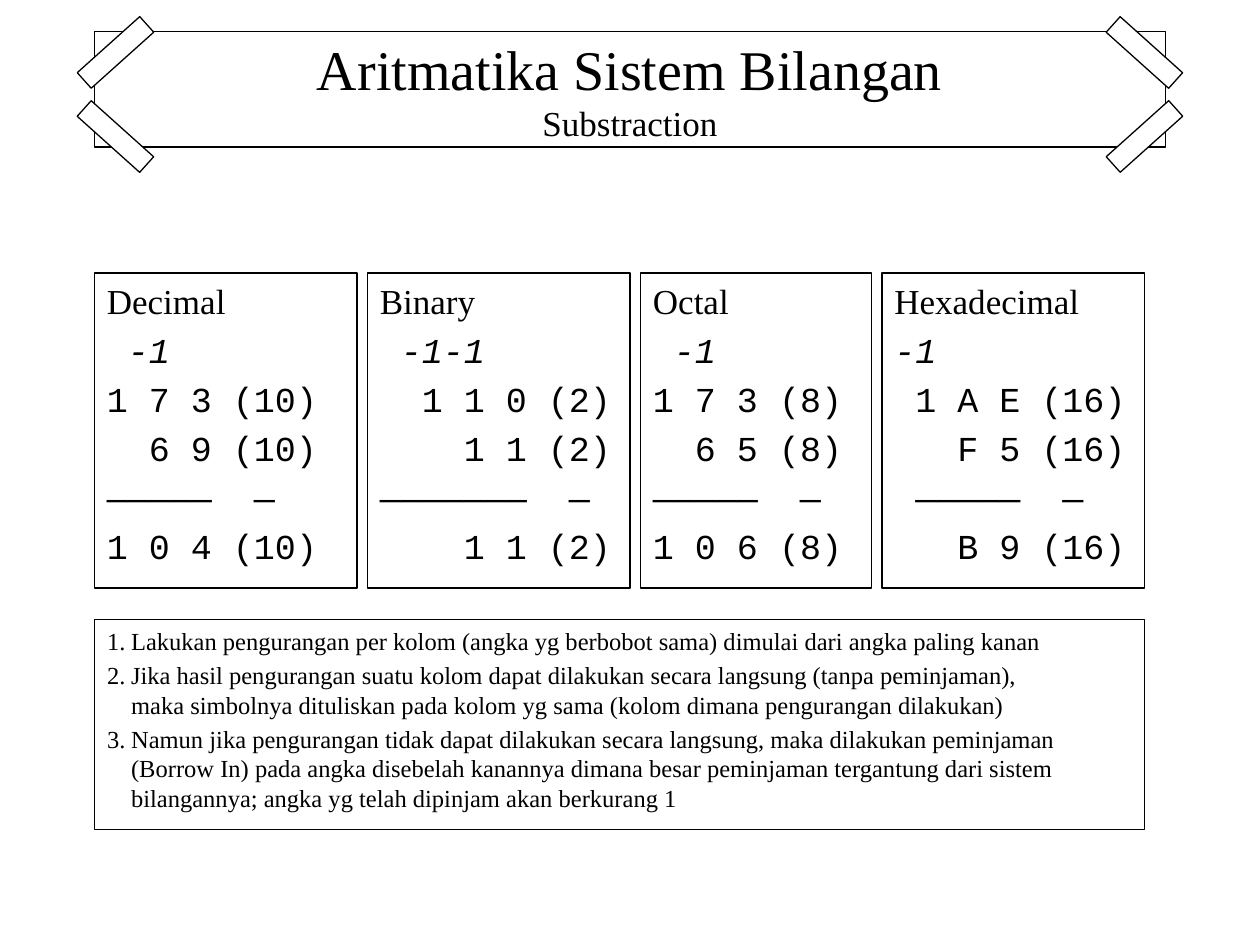
from dataclasses import dataclass

from lxml import etree
from pptx import Presentation, util as u
from pptx.dml.color import RGBColor
from pptx.enum import shapes, text
from pptx.oxml.ns import qn

COLORS = {"ink": "000000", "paper": "FFFFFF"}
SERIF, MONO = "Times New Roman", "Courier New"
UNIT = u.Inches(10) // 120  # the slide is a grid of 120 columns by 90 rows
CHAR = 2 * UNIT  # width of one 20 pt monospaced character


@dataclass
class Box:
    col: float
    row: float
    wide: float
    high: float

    def place(self) -> list[int]:
        return [round(n * UNIT) for n in (self.col, self.row, self.wide, self.high)]


@dataclass
class Line:
    text: str
    stops: tuple[int, ...] = ()  # tab stops, counted in characters


@dataclass
class Panel:
    name: str
    wide: int
    lines: list[Line]  # borrow, minuend, subtrahend, rule, result


PANELS = [
    Panel("Decimal", 25, [
        Line("\t-1", (1,)), Line("1 7 3 (10)"), Line("\t6 9 (10)", (2,)),
        Line("—————\t—", (7,)), Line("1 0 4 (10)")]),
    Panel("Binary", 25, [
        Line("\t-1-1", (1,)), Line("\t1 1 0 (2)", (2,)), Line("\t1 1 (2)", (4,)),
        Line("———————\t—", (9,)), Line("\t1 1 (2)", (4,))]),
    Panel("Octal", 22, [
        Line("\t-1", (1,)), Line("1 7 3 (8)"), Line("\t6 5 (8)", (2,)),
        Line("—————\t—", (7,)), Line("1 0 6 (8)")]),
    Panel("Hexadecimal", 25, [
        Line("-1"), Line("\t1 A E (16)", (1,)), Line("\tF 5 (16)", (3,)),
        Line("\t—————\t—", (1, 8)), Line("\tB 9 (16)", (3,))]),
]
RULES = [
    "Lakukan pengurangan per kolom (angka yg berbobot sama) dimulai dari angka "
    "paling kanan",
    "Jika hasil pengurangan suatu kolom dapat dilakukan secara langsung (tanpa "
    "peminjaman),\vmaka simbolnya dituliskan pada kolom yg sama (kolom dimana "
    "pengurangan dilakukan)",
    "Namun jika pengurangan tidak dapat dilakukan secara langsung, maka dilakukan "
    "peminjaman (Borrow In) pada angka disebelah kanannya dimana besar peminjaman "
    "tergantung dari sistem bilangannya; angka yg telah dipinjam akan berkurang 1",
]


def color(name: str) -> RGBColor:
    return RGBColor.from_string(COLORS[name])


def outline(shape) -> None:
    shape.line.color.rgb = color("ink")
    shape.line.width = u.Pt(0.75)


def frame(shape, box: Box, anchor=text.MSO_ANCHOR.TOP):
    """Place an outlined holder and return its text frame."""
    shape.left, shape.top, shape.width, shape.height = box.place()
    shape.fill.background()
    outline(shape)
    body = shape.text_frame
    body.word_wrap = True
    body.auto_size = text.MSO_AUTO_SIZE.NONE
    body.vertical_anchor = anchor
    return body


def rect(slide, box: Box):
    shape = slide.shapes.add_shape(shapes.MSO_SHAPE.RECTANGLE, *box.place())
    shape.shadow.inherit = False
    return shape


def style(para, size: int, face: str, first: bool) -> None:
    para.space_before = u.Pt(0 if first else round(size * 0.2, 1))
    para.font.size = u.Pt(size)
    para.font.name = face
    para.font.color.rgb = color("ink")


def add_tabs(para, stops: tuple[int, ...]) -> None:
    tabs = etree.SubElement(para._p.get_or_add_pPr(), qn("a:tabLst"))
    for stop in stops:
        etree.SubElement(tabs, qn("a:tab"), pos=str(stop * CHAR), algn="l")


def draw_tape(slide, col: int, row: int, angle: float) -> None:
    tape = rect(slide, Box(col, row, 2, 8))
    tape.rotation = angle
    tape.fill.solid()
    tape.fill.fore_color.rgb = color("paper")
    outline(tape)


def draw_panel(slide, panel: Panel, col: int) -> None:
    box = Box(col, 26, panel.wide, 30)
    body = frame(rect(slide, box), box)
    for i, line in enumerate([Line(panel.name), *panel.lines]):
        para = body.paragraphs[0] if i == 0 else body.add_paragraph()
        para.text = line.text
        para.alignment = text.PP_ALIGN.LEFT
        if line.stops:
            add_tabs(para, line.stops)
        style(para, 20, MONO if i else SERIF, i == 0)
        para.font.italic = i == 1


def draw_title(slide) -> None:
    body = frame(slide.shapes.title, Box(9, 3, 102, 11), text.MSO_ANCHOR.MIDDLE)
    para = body.paragraphs[0]
    para.alignment = text.PP_ALIGN.CENTER
    style(para, 32, SERIF, True)
    para.add_run().text = "Aritmatika Sistem Bilangan"
    para.add_line_break()
    sub = para.add_run()
    sub.text = "Substraction"
    sub.font.size = u.Pt(20)


def draw_rules(slide) -> None:
    body = frame(slide.placeholders[1], Box(9, 59, 100, 20))
    for i, rule in enumerate(RULES):
        para = body.paragraphs[0] if i == 0 else body.add_paragraph()
        para.text = rule
        props = para._p.get_or_add_pPr()
        props.set("marL", str(u.Inches(0.19)))
        props.set("indent", str(-u.Inches(0.19)))
        etree.SubElement(props, qn("a:buFont"), typeface=SERIF)
        etree.SubElement(props, qn("a:buAutoNum"), type="arabicPeriod")
        style(para, 14, SERIF, i == 0)


def main() -> None:
    deck = Presentation()
    deck.slide_width, deck.slide_height = 120 * UNIT, 90 * UNIT
    slide = deck.slides.add_slide(deck.slide_layouts[1])

    # Title held by tape at its four corners
    draw_title(slide)
    for x, col in enumerate((10, 108)):
        for y, row in enumerate((1, 9)):
            draw_tape(slide, col, row, 48.1 if x == y else 311.9)

    # One worked sum for each number base
    col = 9
    for panel in PANELS:
        draw_panel(slide, panel, col)
        col += panel.wide + 1

    # Rules of subtraction
    draw_rules(slide)
    deck.save("out.pptx")


if __name__ == "__main__":
    main()
